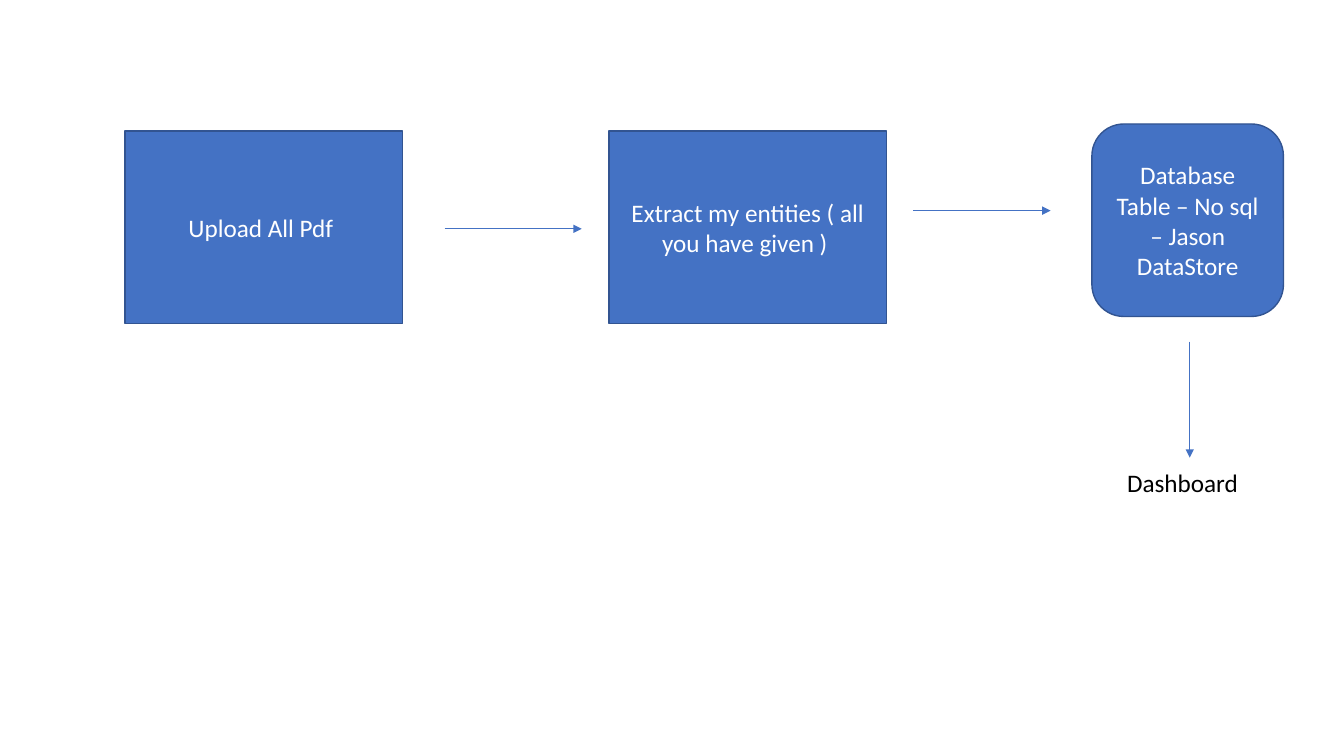
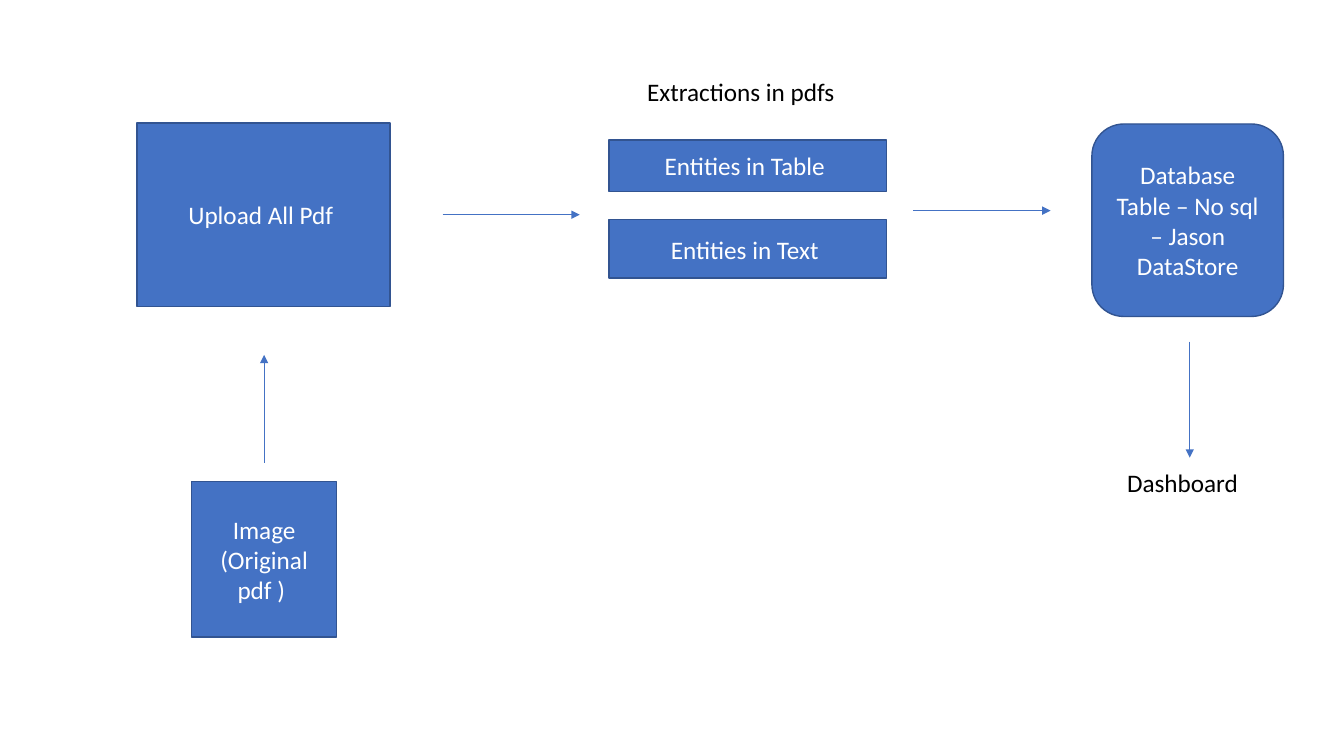
from pptx import Presentation
from pptx.dml.color import RGBColor
from pptx.enum.shapes import MSO_CONNECTOR, MSO_SHAPE
from pptx.enum.text import MSO_ANCHOR, MSO_AUTO_SIZE, PP_ALIGN
from pptx.oxml.ns import qn
from pptx.util import Inches, Pt
from lxml import etree

RECT, ROUNDED = MSO_SHAPE.RECTANGLE, MSO_SHAPE.ROUNDED_RECTANGLE
STRAIGHT = MSO_CONNECTOR.STRAIGHT
CENTER, LEFT = PP_ALIGN.CENTER, PP_ALIGN.LEFT
MIDDLE = MSO_ANCHOR.MIDDLE
GROW = MSO_AUTO_SIZE.SHAPE_TO_FIT_TEXT

COLORS = {"fill": "4472C4", "border": "325491", "light": "FFFFFF", "dark": "000000"}
FONT, TEXT_SIZE = "Calibri", 18

# Storage and reporting end of the flow, the same on both slides
# Boxes and labels: (text, left, top, width, height); arrows: (from, to)
STORE = ("Database Table – No sql – Jason DataStore", 10.83, 1.23, 1.9, 1.91)
REPORT = ("Dashboard", 11.08, 4.59, 1.9, 0.4)
STORE_ARROWS = [((9.06, 2.09), (10.42, 2.09)), ((11.8, 3.39), (11.8, 4.54))]

# Steps that differ between the slides
EXTRACT_LEFT, STEP_WIDTH = 6.04, 2.75
FLOWS = [
    {
        "steps": [
            ("Upload All Pdf ", 1.24, 1.3, STEP_WIDTH, 1.91),
            ("Extract my entities ( all you have given ) ", EXTRACT_LEFT, 1.3, STEP_WIDTH, 1.91),
        ],
        "labels": [],
        "arrows": [((4.41, 2.27), (5.77, 2.27))],
    },
    {
        "steps": [
            ("Upload All Pdf ", 1.36, 1.22, 2.51, 1.82),
            ("Entities in Table ", EXTRACT_LEFT, 1.39, STEP_WIDTH, 0.51),
            ("Entities in Text ", EXTRACT_LEFT, 2.18, STEP_WIDTH, 0.58),
            ("Image (Original pdf ) ", 1.9, 4.78, 1.44, 1.54),
        ],
        "labels": [("Extractions in pdfs", 6.32, 0.71, 2.19, 0.4)],
        "arrows": [((4.39, 2.13), (5.75, 2.13)), ((2.62, 4.59), (2.62, 3.52))],
    },
]


def rgb(name):
    return RGBColor.from_string(COLORS[name])


def write_text(frame, text, color, align):
    frame.word_wrap = True
    paragraph = frame.paragraphs[0]
    paragraph.text = text
    paragraph.alignment = align
    font = paragraph.runs[0].font
    font.name, font.size = FONT, Pt(TEXT_SIZE)
    font.color.rgb = rgb(color)


def add_step(slide, text, *bounds, outline=RECT):
    step = slide.shapes.add_shape(outline, *map(Inches, bounds))
    step.shadow.inherit = False
    step.fill.solid()
    step.fill.fore_color.rgb = rgb("fill")
    step.line.color.rgb = rgb("border")
    step.line.width = Pt(1)
    step.text_frame.vertical_anchor = MIDDLE
    write_text(step.text_frame, text, "light", CENTER)


def add_label(slide, text, *bounds):
    label = slide.shapes.add_textbox(*map(Inches, bounds))
    write_text(label.text_frame, text, "dark", LEFT)
    label.text_frame.auto_size = GROW


def add_arrow(slide, start, end):
    arrow = slide.shapes.add_connector(STRAIGHT, *map(Inches, start + end))
    arrow.line.color.rgb = rgb("fill")
    arrow.line.width = Pt(0.5)
    # Arrowhead at the end, no shadow
    etree.SubElement(arrow.line._get_or_add_ln(), qn("a:tailEnd"), type="triangle")
    etree.SubElement(arrow._element.spPr, qn("a:effectLst"))


def add_flow(deck, flow):
    slide = deck.slides.add_slide(deck.slide_layouts[6])
    for step in flow["steps"]:
        add_step(slide, *step)
    add_step(slide, *STORE, outline=ROUNDED)
    for label in flow["labels"] + [REPORT]:
        add_label(slide, *label)
    for start, end in flow["arrows"] + STORE_ARROWS:
        add_arrow(slide, start, end)


def main():
    deck = Presentation()
    deck.slide_width, deck.slide_height = Inches(13.33), Inches(7.5)
    for flow in FLOWS:
        add_flow(deck, flow)
    deck.save("out.pptx")


if __name__ == "__main__":
    main()
